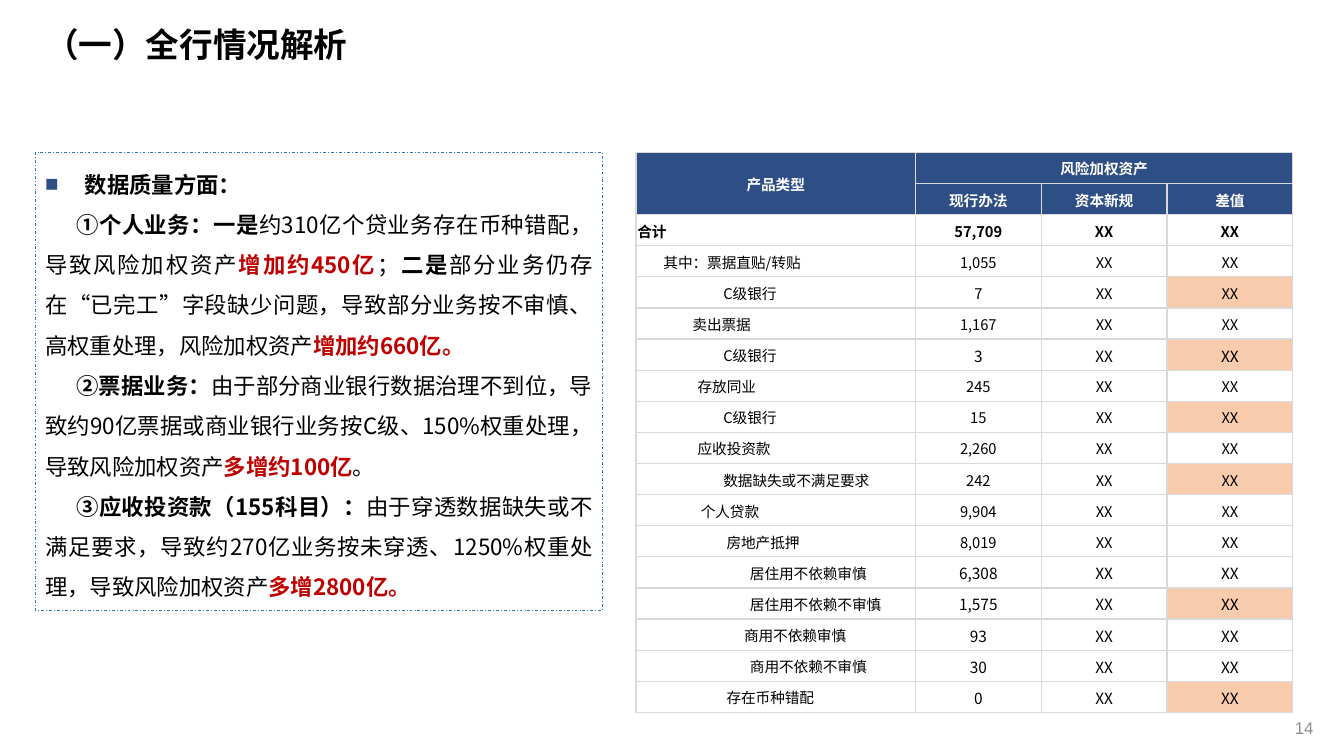
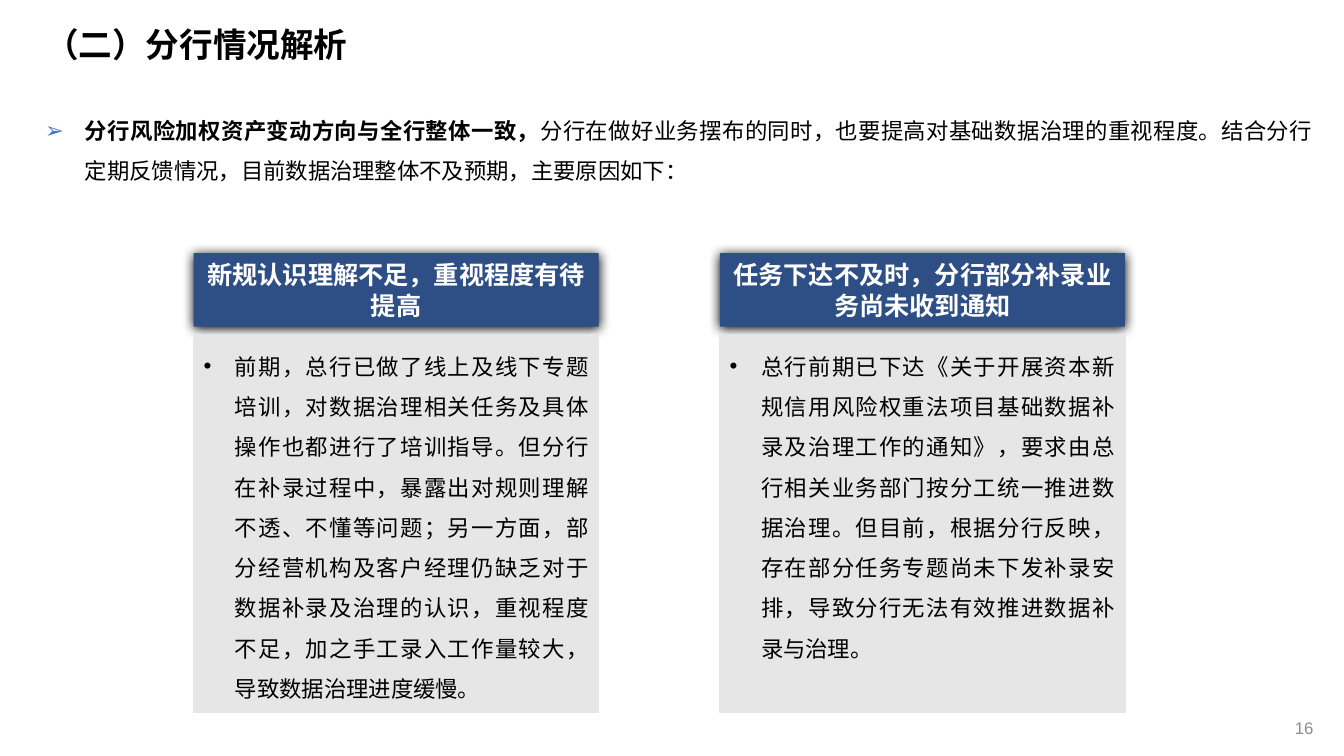
from dataclasses import dataclass
from typing import Any, Optional

from lxml.etree import SubElement
from pptx import Presentation
from pptx.dml.color import RGBColor
from pptx.enum.dml import MSO_LINE
from pptx.enum.shapes import MSO_SHAPE
from pptx.enum.text import MSO_ANCHOR, PP_ALIGN
from pptx.oxml import parse_xml
from pptx.oxml.ns import nsdecls, qn
from pptx.util import Cm, Pt

BLACK = RGBColor(0x00, 0x00, 0x00)
WHITE = RGBColor(0xFF, 0xFF, 0xFF)
NAVY = RGBColor(0x2E, 0x4F, 0x85)
BLUE = RGBColor(0x44, 0x72, 0xC4)
FRAME = RGBColor(0x2E, 0x75, 0xB6)
RED = RGBColor(0xC0, 0x00, 0x00)
GRAY = RGBColor(0x8C, 0x8C, 0x8C)
PANEL = RGBColor(0xE7, 0xE6, 0xE6)
GRID = RGBColor(0xD9, 0xD9, 0xD9)
PEACH = RGBColor(0xF8, 0xCB, 0xAD)

CJK = "Noto Sans CJK SC"
LATIN = "Arial"
JUSTIFIED = {"alignment": PP_ALIGN.JUSTIFY, "line_spacing": 1.5}
CENTERED = {"alignment": PP_ALIGN.CENTER}


@dataclass(frozen=True)
class Box:
    left: float
    top: float
    width: float
    height: float

    def lengths(self) -> tuple:
        return Cm(self.left), Cm(self.top), Cm(self.width), Cm(self.height)


@dataclass(frozen=True)
class Run:
    text: str
    bold: bool = False
    color: RGBColor = BLACK


@dataclass(frozen=True)
class Bullet:
    char: str
    color: RGBColor
    indent: float = 1.0


@dataclass(frozen=True)
class Para:
    runs: tuple[Run, ...]
    bullet: Optional[Bullet] = None
    first_line: float = 0


@dataclass(frozen=True)
class Row:
    label: str
    value: str
    indent: float
    marked: bool = False
    size: float = 10.5
    bold: bool = False


@dataclass(frozen=True)
class Card:
    heading: str
    body: str


SQUARE = Bullet("■", NAVY)
ARROW = Bullet("➢", BLUE)
DOT = Bullet("•", BLACK, 0.79)

QUALITY = (
    Para((Run("数据质量方面：", True),), SQUARE),
    Para((
        Run("①个人业务：一是", True),
        Run("约310亿个贷业务存在币种错配，导致风险加权资产"),
        Run("增加约450亿", True, RED),
        Run("；"),
        Run("二是", True),
        Run("部分业务仍存在“已完工”字段缺少问题，导致部分业务按不审慎、高权重处理，风险加权资产"),
        Run("增加约660亿。", True, RED),
    ), first_line=0.79),
    Para((
        Run("②票据业务：", True),
        Run("由于部分商业银行数据治理不到位，导致约90亿票据或商业银行业务按C级、150%权重处理，导致风险加权资产"),
        Run("多增约100亿", True, RED),
        Run("。"),
    ), first_line=0.79),
    Para((
        Run("③应收投资款（155科目）：", True),
        Run("由于穿透数据缺失或不满足要求，导致约270亿业务按未穿透、1250%权重处理，导致风险加权资产"),
        Run("多增2800亿。", True, RED),
    ), first_line=0.79),
)

ROWS = (
    Row("合计", "57,709", 0.03, bold=True),
    Row("其中：票据直贴/转贴", "1,055", 0.69),
    Row("C级银行", "7", 2.2, True),
    Row("卖出票据", "1,167", 1.42),
    Row("C级银行", "3", 2.2, True, 11),
    Row("存放同业", "245", 1.55),
    Row("C级银行", "15", 2.2, True),
    Row("应收投资款", "2,260", 1.55),
    Row("数据缺失或不满足要求", "242", 2.2, True),
    Row("个人贷款", "9,904", 1.63),
    Row("房地产抵押", "8,019", 2.28),
    Row("居住用不依赖审慎", "6,308", 2.87, size=11),
    Row("居住用不依赖不审慎", "1,575", 2.87, True, 11),
    Row("商用不依赖审慎", "93", 2.72, size=11),
    Row("商用不依赖不审慎", "30", 2.87, size=11),
    Row("存在币种错配", "0", 2.28, True, 11),
)

INTRO = Para((
    Run("分行风险加权资产变动方向与全行整体一致，", True),
    Run("分行在做好业务摆布的同时，也要提高对基础数据治理的重视程度。结合分行定期反馈情况，"
        "目前数据治理整体不及预期，主要原因如下："),
), ARROW)

CARDS = (
    Card("新规认识理解不足，重视程度有待提高",
         "前期，总行已做了线上及线下专题培训，对数据治理相关任务及具体操作也都进行了培训指导。"
         "但分行在补录过程中，暴露出对规则理解不透、不懂等问题；另一方面，部分经营机构及客户经理"
         "仍缺乏对于数据补录及治理的认识，重视程度不足，加之手工录入工作量较大，导致数据治理进度缓慢。"),
    Card("任务下达不及时，分行部分补录业务尚未收到通知",
         "总行前期已下达《关于开展资本新规信用风险权重法项目基础数据补录及治理工作的通知》，"
         "要求由总行相关业务部门按分工统一推进数据治理。但目前，根据分行反映，存在部分任务专题"
         "尚未下发补录安排，导致分行无法有效推进数据补录与治理。"),
)


def set_format(target: Any, values: dict) -> None:
    for name, value in values.items():
        setattr(target, name, value)


def set_bullet(p: Any, bullet: Bullet) -> None:
    pPr = p._p.get_or_add_pPr()
    pPr.set("marL", str(Cm(bullet.indent)))
    pPr.set("indent", str(-Cm(bullet.indent)))
    color = SubElement(SubElement(pPr, qn("a:buClr")), qn("a:srgbClr"))
    color.set("val", str(bullet.color))
    SubElement(pPr, qn("a:buFont")).set("typeface", LATIN)
    SubElement(pPr, qn("a:buChar")).set("char", bullet.char)


def write(tf: Any, paras: tuple[Para, ...], size: float, layout: dict,
          font: str = CJK) -> None:
    for i, para in enumerate(paras):
        p = tf.add_paragraph() if i else tf.paragraphs[0]
        if para.bullet:
            set_bullet(p, para.bullet)
        elif para.first_line:
            p._p.get_or_add_pPr().set("indent", str(Cm(para.first_line)))
        set_format(p, layout)
        for run in para.runs:
            r = p.add_run()
            r.text = run.text
            set_format(r.font, {"name": font, "size": Pt(size), "bold": run.bold})
            r.font.color.rgb = run.color
            SubElement(r._r.get_or_add_rPr(), qn("a:ea")).set("typeface", font)


def add_text(s: Any, box: Box, paras: tuple[Para, ...], size: float, layout: dict,
             frame: Optional[dict] = None, font: str = CJK) -> None:
    tf = s.shapes.add_textbox(*box.lengths()).text_frame
    set_format(tf, {"word_wrap": True, **(frame or {})})
    write(tf, paras, size, layout, font)


def add_panel(s: Any, box: Box, fill: Optional[RGBColor], line: Optional[RGBColor],
              width: float, anchor: Any) -> Any:
    sp = s.shapes.add_shape(MSO_SHAPE.RECTANGLE, *box.lengths())
    sp.shadow.inherit = False
    for part, color in ((sp.fill, fill), (sp.line.fill, line)):
        if color is None:
            part.background()
        else:
            part.solid()
            part.fore_color.rgb = color
    if line is not None:
        sp.line.width = Pt(width)
    set_format(sp.text_frame, {"word_wrap": True, "vertical_anchor": anchor})
    return sp


def add_shadow(sp: Any) -> None:
    effects = sp._element.spPr.find(qn("a:effectLst"))
    effects.append(parse_xml(
        f'<a:outerShdw {nsdecls("a")} blurRad="{Pt(8.5)}" dist="{Pt(1)}" dir="5400000" '
        f'algn="t" rotWithShape="0"><a:srgbClr val="{BLACK}"/></a:outerShdw>'))


def add_page(prs: Any, title: str, number: int) -> Any:
    s = prs.slides.add_slide(prs.slide_layouts[6])
    add_text(s, Box(30.81, 17.93, 2.54, 0.84), (Para((Run(str(number), color=GRAY),)),), 12,
             {"alignment": PP_ALIGN.RIGHT}, {"vertical_anchor": MSO_ANCHOR.MIDDLE}, LATIN)
    add_text(s, Box(0.89, 0.56, 21.51, 1.07), (Para((Run(title, True),)),), 24, {},
             {"vertical_anchor": MSO_ANCHOR.BOTTOM, "margin_top": 0, "margin_bottom": 0})
    return s


def fill_cell(cell: Any, text: str, fill: RGBColor, size: float = 10.5, bold: bool = False,
              color: RGBColor = BLACK, indent: Optional[float] = None) -> None:
    set_format(cell, {
        "vertical_anchor": MSO_ANCHOR.MIDDLE, "margin_left": Cm(indent or 0.03),
        "margin_right": Cm(0.03), "margin_top": Cm(0.03), "margin_bottom": 0,
    })
    cell.fill.solid()
    cell.fill.fore_color.rgb = fill
    for i, side in enumerate(("lnL", "lnR", "lnT", "lnB")):
        cell._tc.get_or_add_tcPr().insert(i, parse_xml(
            f'<a:{side} {nsdecls("a")} w="{Pt(1)}"><a:solidFill>'
            f'<a:srgbClr val="{GRID}"/></a:solidFill></a:{side}>'))
    if text:
        write(cell.text_frame, (Para((Run(text, bold, color),)),), size,
              CENTERED if indent is None else {"alignment": PP_ALIGN.LEFT})


def add_asset_table(s: Any, box: Box) -> None:
    headers = (("产品类型", "风险加权资产", "", ""), ("", "现行办法", "资本新规", "差值"))
    table = s.shapes.add_table(len(headers) + len(ROWS), 4, *box.lengths()).table
    for column, width in zip(table.columns, (7.04, 3.17, 3.17, 3.17)):
        column.width = Cm(width)
    table.cell(0, 0).merge(table.cell(1, 0))
    table.cell(0, 1).merge(table.cell(0, 3))
    for i, labels in enumerate(headers):
        for j, label in enumerate(labels):
            fill_cell(table.cell(i, j), label, NAVY, bold=True, color=WHITE)
    for i, row in enumerate(ROWS, len(headers)):
        fill_cell(table.cell(i, 0), row.label, WHITE, bold=row.bold, indent=row.indent)
        for j, value in enumerate((row.value, "XX", "XX"), 1):
            fill = PEACH if row.marked and j == 3 else WHITE
            fill_cell(table.cell(i, j), value, fill, row.size, row.bold)


def add_card(s: Any, card: Card, left: float) -> None:
    head = add_panel(s, Box(left, 6.38, 10.21, 1.85), NAVY, None, 0, MSO_ANCHOR.MIDDLE)
    add_shadow(head)
    write(head.text_frame, (Para((Run(card.heading, True, WHITE),)),), 18, CENTERED)
    body = add_panel(s, Box(left, 8.43, 10.21, 9.53), PANEL, PANEL, 1, MSO_ANCHOR.TOP)
    write(body.text_frame, (Para((Run(card.body),), DOT),), 16, JUSTIFIED)


def main() -> None:
    prs = Presentation()
    set_format(prs, {"slide_width": Cm(33.87), "slide_height": Cm(19.05)})

    s = add_page(prs, "（一）全行情况解析", 14)
    sp = add_panel(s, Box(0.89, 3.84, 14.3, 11.53), None, FRAME, 0.5, MSO_ANCHOR.TOP)
    sp.line.dash_style = MSO_LINE.DASH_DOT
    write(sp.text_frame, QUALITY, 16, JUSTIFIED)
    add_asset_table(s, Box(16.03, 3.84, 16.55, 14.12))

    s = add_page(prs, "（二）分行情况解析", 16)
    add_text(s, Box(0.89, 2.49, 32.46, 2.31), (INTRO,), 16, JUSTIFIED)
    for i, card in enumerate(CARDS):
        add_card(s, card, 4.88 + i * 13.26)

    prs.save("out.pptx")


if __name__ == "__main__":
    main()
